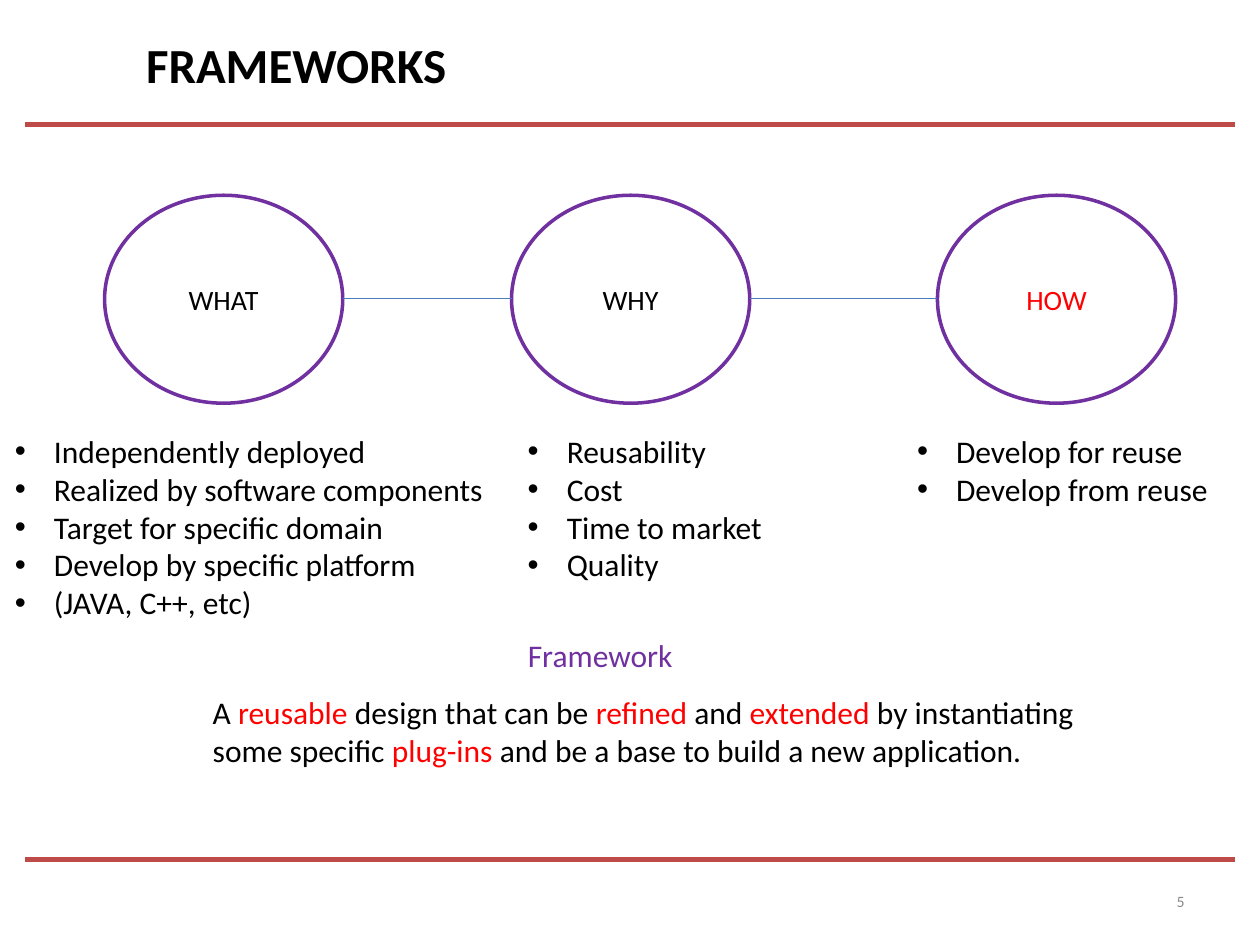
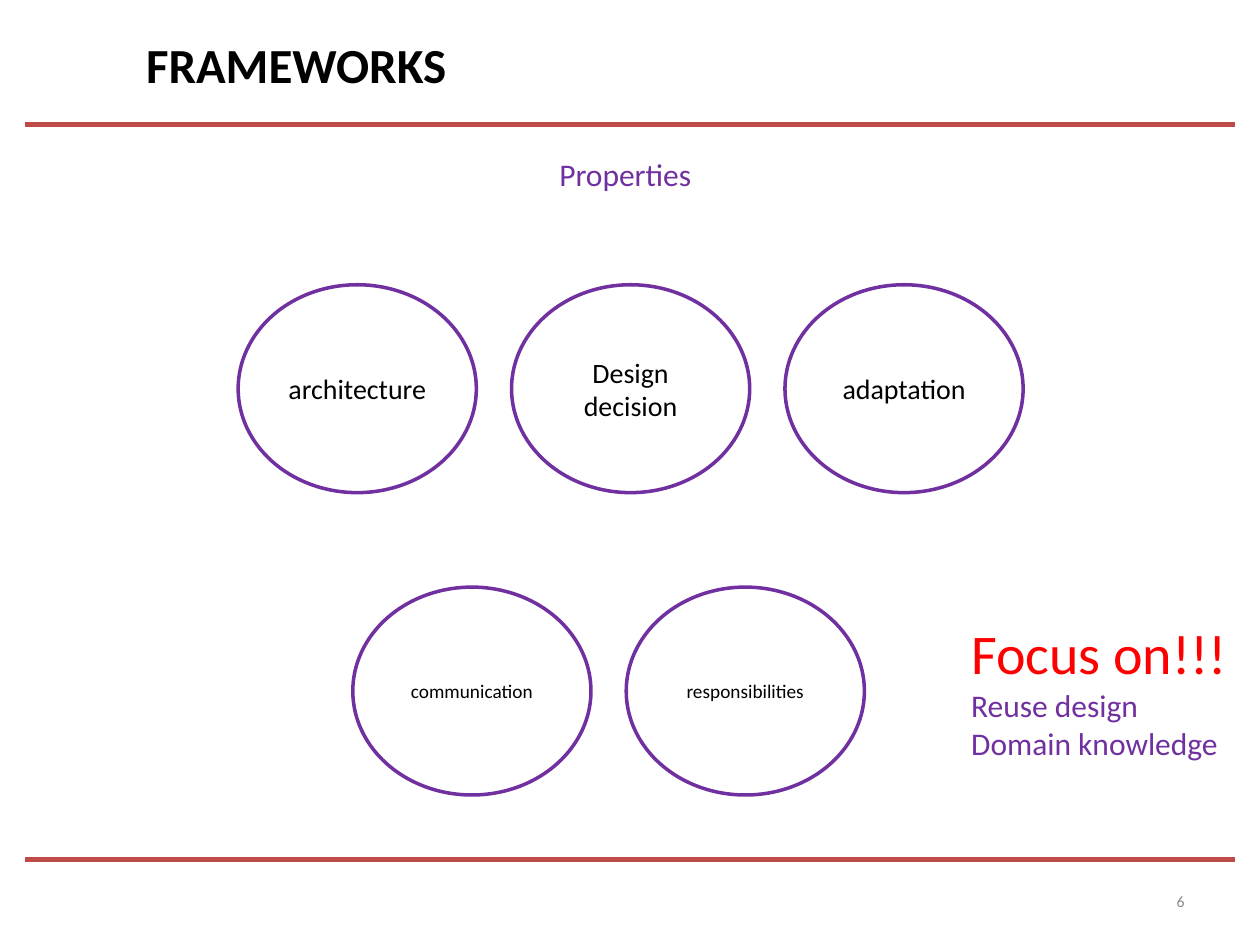
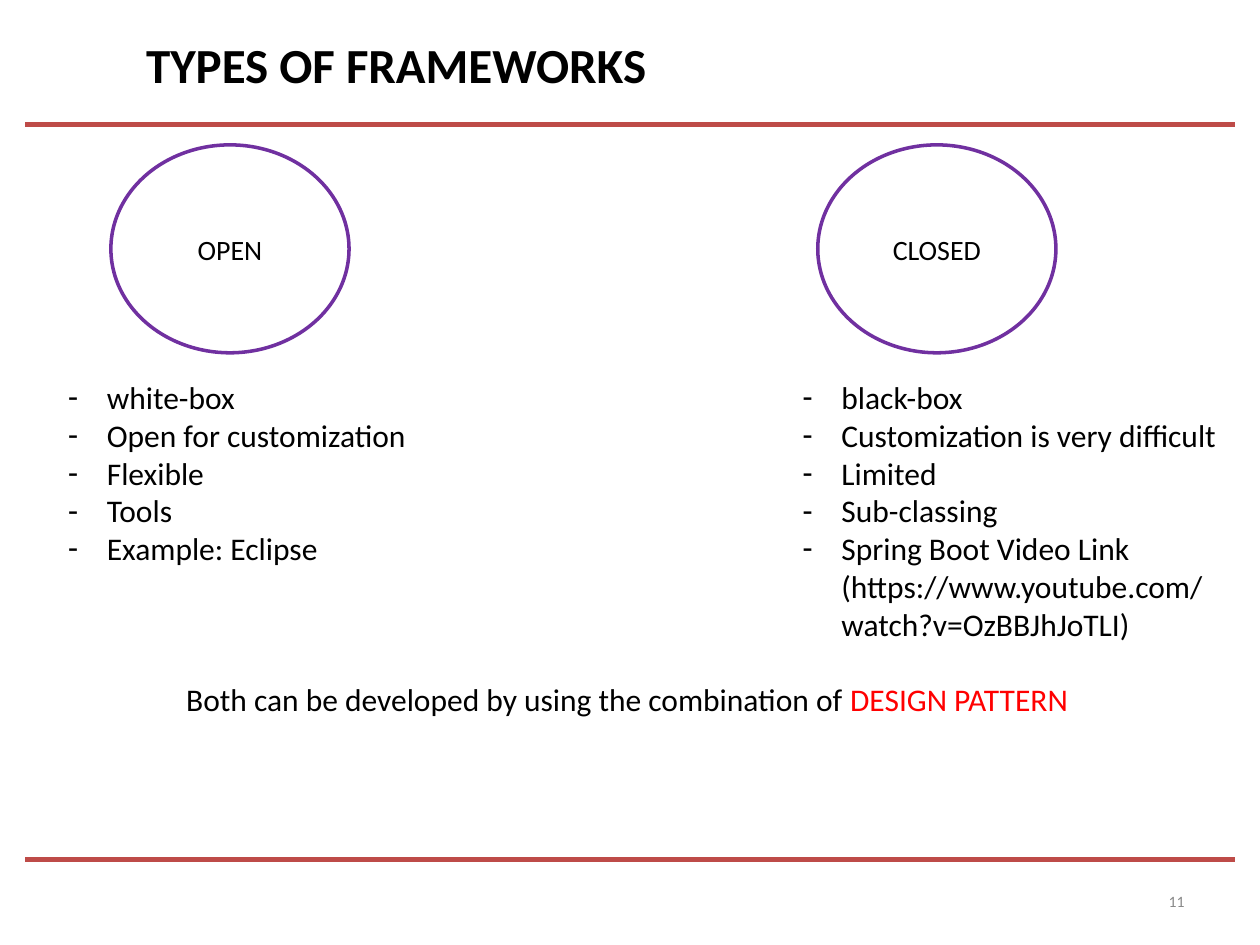
from dataclasses import dataclass

from lxml.etree import SubElement
from pptx import Presentation
from pptx.dml.color import RGBColor
from pptx.enum.shapes import MSO_CONNECTOR, MSO_SHAPE
from pptx.enum.text import MSO_ANCHOR, MSO_AUTO_SIZE, PP_ALIGN
from pptx.oxml.ns import qn
from pptx.util import Emu, Pt

EMU_PER_PX = 9144
FONT = "Calibri"
BLACK, WHITE, RED = "000000", "FFFFFF", "FF0000"
PURPLE, BAND, LINK, GREY = "7030A0", "BE4B48", "4A7EBB", "898989"
CIRCLE_WIDTH, CIRCLE_HEIGHT, CIRCLE_PITCH = 189, 165, 217
BULLET_INDENT = 31
BAND_TOPS = (99, 682)


@dataclass(frozen=True)
class Piece:
    text: str
    color: str = BLACK
    size: int = 18
    bold: bool = False


@dataclass(frozen=True)
class Box:
    left: int
    top: int
    width: int
    height: int


@dataclass(frozen=True)
class TextBlock:
    box: Box
    lines: list[list[Piece]]
    bullet: str = ""
    wrap: bool = False


@dataclass(frozen=True)
class Circle:
    left: int
    top: int
    label: Piece


def px(length: int) -> Emu:
    return Emu(length * EMU_PER_PX)


def rgb(color: str) -> RGBColor:
    return RGBColor.from_string(color)


def frame(box: Box) -> tuple[Emu, Emu, Emu, Emu]:
    return px(box.left), px(box.top), px(box.width), px(box.height)


def add_pieces(paragraph, pieces: list[Piece]) -> None:
    for piece in pieces:
        run = paragraph.add_run()
        run.text = piece.text
        run.font.name = FONT
        run.font.size = Pt(piece.size)
        run.font.bold = piece.bold
        run.font.color.rgb = rgb(piece.color)


def add_bullet(paragraph, character: str) -> None:
    properties = paragraph._p.get_or_add_pPr()
    properties.set("marL", str(px(BULLET_INDENT)))
    properties.set("indent", str(-px(BULLET_INDENT)))
    bullet_color = SubElement(properties, qn("a:buClr"))
    SubElement(bullet_color, qn("a:srgbClr"), val=BLACK)
    SubElement(properties, qn("a:buFont"), typeface="Arial")
    SubElement(properties, qn("a:buChar"), char=character)


def add_line(slide, left: int, right: int, top: int, color: str, width: float) -> None:
    connector = slide.shapes.add_connector(
        MSO_CONNECTOR.STRAIGHT, px(left), px(top), px(right), px(top)
    )
    connector.line.color.rgb = rgb(color)
    connector.line.width = Pt(width)
    SubElement(connector._element.spPr, qn("a:effectLst"))


def add_text(slide, block: TextBlock) -> None:
    text_frame = slide.shapes.add_textbox(*frame(block.box)).text_frame
    text_frame.word_wrap = block.wrap
    text_frame.auto_size = MSO_AUTO_SIZE.SHAPE_TO_FIT_TEXT
    for index, pieces in enumerate(block.lines):
        paragraph = text_frame.add_paragraph() if index else text_frame.paragraphs[0]
        if block.bullet:
            add_bullet(paragraph, block.bullet)
        add_pieces(paragraph, pieces)


def add_circle(slide, circle: Circle) -> None:
    box = Box(circle.left, circle.top, CIRCLE_WIDTH, CIRCLE_HEIGHT)
    shape = slide.shapes.add_shape(MSO_SHAPE.OVAL, *frame(box))
    shape.shadow.inherit = False
    shape.fill.solid()
    shape.fill.fore_color.rgb = rgb(WHITE)
    shape.line.color.rgb = rgb(PURPLE)
    shape.line.width = Pt(2)
    text_frame = shape.text_frame
    text_frame.word_wrap = True
    text_frame.vertical_anchor = MSO_ANCHOR.MIDDLE
    paragraph = text_frame.paragraphs[0]
    paragraph.alignment = PP_ALIGN.CENTER
    add_pieces(paragraph, [circle.label])


def circle_row(left: int, top: int, labels: list[str], size: int) -> list[Circle]:
    return [
        Circle(left + index * CIRCLE_PITCH, top, Piece(label, size=size))
        for index, label in enumerate(labels)
    ]


def bullet_list(box: Box, items: list[str], bullet: str, wrap: bool = False) -> TextBlock:
    return TextBlock(box, [[Piece(item)] for item in items], bullet, wrap)


def add_page(presentation, title: str, number: int,
             circles: list[Circle], blocks: list[TextBlock]):
    slide = presentation.slides.add_slide(presentation.slide_layouts[5])
    for top in BAND_TOPS:
        add_line(slide, 20, 980, top, BAND, 3)

    heading = slide.shapes.title
    heading.left, heading.top, heading.width, heading.height = frame(Box(106, 12, 623, 77))
    heading.text_frame.auto_size = MSO_AUTO_SIZE.NONE
    heading.text_frame.vertical_anchor = MSO_ANCHOR.MIDDLE
    paragraph = heading.text_frame.paragraphs[0]
    paragraph.alignment = PP_ALIGN.LEFT
    add_pieces(paragraph, [Piece(title, size=28, bold=True)])

    number_frame = slide.shapes.add_textbox(*frame(Box(717, 695, 233, 40))).text_frame
    number_frame.word_wrap = True
    number_frame.vertical_anchor = MSO_ANCHOR.MIDDLE
    paragraph = number_frame.paragraphs[0]
    paragraph.alignment = PP_ALIGN.RIGHT
    add_pieces(paragraph, [Piece(str(number), GREY, 9)])

    for circle in circles:
        add_circle(slide, circle)
    for block in blocks:
        add_text(slide, block)
    return slide


def add_questions_page(presentation) -> None:
    circles = [
        Circle(83, 155, Piece("WHAT", size=16)),
        Circle(406, 155, Piece("WHY", size=16)),
        Circle(744, 155, Piece("HOW", RED, 16)),
    ]
    definition = [
        [
            Piece("A "), Piece("reusable", RED), Piece(" design that can be "),
            Piece("refined", RED), Piece(" and "), Piece("extended", RED),
            Piece(" by instantiating"),
        ],
        [
            Piece("some specific "), Piece("plug-ins ", RED),
            Piece("and be a base to build a new application."),
        ],
    ]
    blocks = [
        bullet_list(Box(2, 338, 394, 190), [
            "Independently deployed",
            "Realized by software components",
            "Target for specific domain",
            "Develop by specific platform",
            "(JAVA, C++, etc)",
        ], "•"),
        bullet_list(Box(409, 338, 207, 160),
                    ["Reusability", "Cost", "Time to market", "Quality"], "•"),
        bullet_list(Box(718, 338, 252, 70),
                    ["Develop for reuse", "Develop from reuse"], "•"),
        TextBlock(Box(409, 500, 135, 40), [[Piece("Framework", PURPLE)]]),
        TextBlock(Box(159, 545, 706, 70), definition),
    ]
    slide = add_page(presentation, "FRAMEWORKS", 5, circles, blocks)
    for before, after in zip(circles, circles[1:]):
        middle = before.top + CIRCLE_HEIGHT // 2
        add_line(slide, before.left + CIRCLE_WIDTH, after.left, middle, LINK, 0.75)


def add_properties_page(presentation) -> None:
    circles = circle_row(189, 226, ["architecture", "Design decision", "adaptation"], 16)
    circles += circle_row(280, 466, ["communication", "responsibilities"], 11)
    blocks = [
        TextBlock(Box(434, 118, 125, 40), [[Piece("Properties", PURPLE)]]),
        TextBlock(Box(761, 486, 224, 124), [
            [Piece("Focus on!!!", RED, 32)],
            [Piece("Reuse design", PURPLE)],
            [Piece("Domain knowledge", PURPLE)],
        ]),
    ]
    add_page(presentation, "FRAMEWORKS", 6, circles, blocks)


def add_types_page(presentation) -> None:
    circles = [
        Circle(88, 115, Piece("OPEN", size=16)),
        Circle(649, 115, Piece("CLOSED", size=16)),
    ]
    blocks = [
        bullet_list(Box(44, 295, 290, 191), [
            "white-box",
            "Open for customization",
            "Flexible",
            "Tools",
            "Example: Eclipse",
        ], "-"),
        bullet_list(Box(627, 295, 353, 251), [
            "black-box",
            "Customization is very difficult",
            "Limited",
            "Sub-classing",
            "Spring Boot Video Link (https://www.youtube.com/watch?v=OzBBJhJoTLI)",
        ], "-", wrap=True),
        TextBlock(Box(138, 535, 724, 40), [[
            Piece("Both can be developed by using the combination of "),
            Piece("DESIGN PATTERN", RED),
        ]]),
    ]
    add_page(presentation, "TYPES OF FRAMEWORKS", 11, circles, blocks)


def main() -> None:
    presentation = Presentation()
    presentation.slide_width = px(1000)
    presentation.slide_height = px(750)
    add_questions_page(presentation)
    add_properties_page(presentation)
    add_types_page(presentation)
    presentation.save("out.pptx")


if __name__ == "__main__":
    main()
